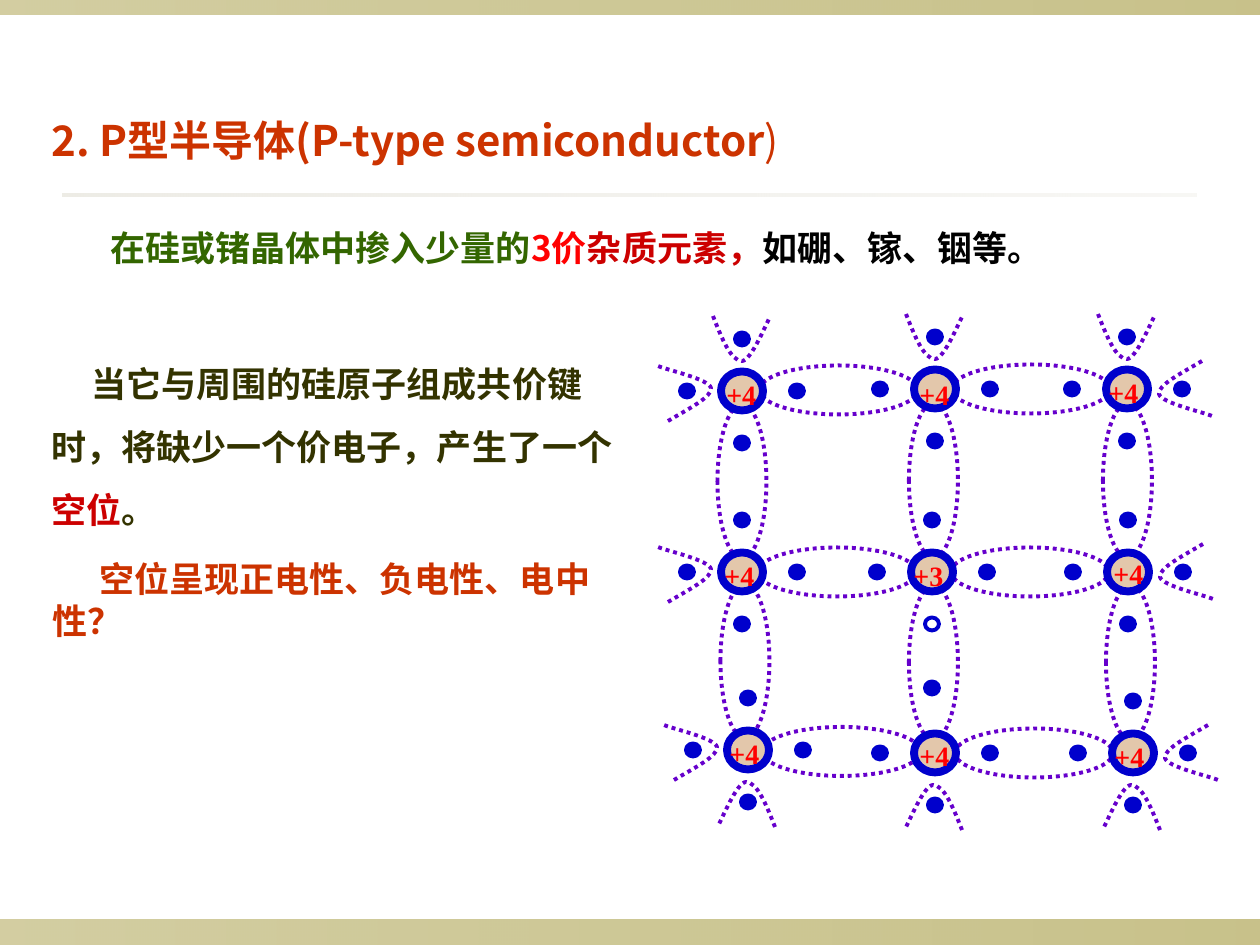
from pptx import Presentation
from pptx import util as u
from pptx.dml.color import RGBColor
from pptx.enum import dml, shapes, text
from pptx.oxml.ns import qn
from lxml import etree

SCALE = 914400 / 126
SANS, SERIF = "Noto Sans CJK SC", "Times New Roman"
HUES = {
    "band": "918415", "rule": "DCD9CC", "rust": "CC3300", "olive": "333300",
    "green": "336600", "red": "FF0000", "deep": "CC0000", "black": "000000",
    "bond": "6600CC", "blue": "0000CC", "core": "E3C7AB",
}
ATOMS = [
    [(86, 78), (279, 76), (471, 76)],
    [(86, 259), (276, 259), (472, 259)],
    [(92, 437), (279, 440), (477, 440)],
]
LABELS = [
    [(-28, -20), (-28, -18), (-31, -20)],
    [(-30, -20), (-31, -20), (-27, -22)],
    [(-31, -20), (-28, -21), (-31, -20)],
]
TOP = [(-29, -75), (-20, -52), (-11, -30), (0, -30), (9, -30), (24, -67), (28, -74)]
LEFT = [(-74, 30), (-52, 17), (-30, 6), (-31, -3), (-33, -12), (-75, -21), (-84, -25)]


def px(n):
    return u.Emu(round(n * SCALE))


def hue(name):
    return RGBColor.from_string(HUES[name])


def write(slide, box, runs, size=20, font=SANS, indent=0, lead=None):
    frame = slide.shapes.add_textbox(*map(px, box)).text_frame
    frame.word_wrap = True
    frame.vertical_anchor = text.MSO_ANCHOR.TOP
    para = frame.paragraphs[0]
    props = para._p.get_or_add_pPr()
    props.set("hangingPunct", "0")
    props.set("indent", str(px(indent)))
    if lead:
        para.line_spacing = lead
    for words, color, bold in runs:
        run = para.add_run()
        run.text = words
        face = run.font
        face.size, face.bold, face.name = u.Pt(size), bold, font
        face.color.rgb = hue(color)
        etree.SubElement(face._element, qn("a:ea")).set("typeface", font)


def strip(slide, box, color, *clear):
    bar = slide.shapes.add_shape(shapes.MSO_SHAPE.RECTANGLE, *map(px, box))
    bar.shadow.inherit = False
    bar.line.fill.background()
    bar.fill.gradient()
    bar.fill.gradient_angle = 0
    for stop in bar.fill.gradient_stops:
        stop.color.rgb = hue(color)
    for node, share in zip(bar._element.spPr.iter(qn("a:srgbClr")), clear):
        etree.SubElement(node, qn("a:alpha")).set("val", str(share * 1000))


def style(shape, line, width, fill=None, dots=False):
    shape.shadow.inherit = False
    shape.line.color.rgb = hue(line)
    shape.line.width = u.Pt(width)
    if dots:
        shape.line.dash_style = dml.MSO_LINE.ROUND_DOT
    if fill:
        shape.fill.solid()
        shape.fill.fore_color.rgb = hue(fill)
    else:
        shape.fill.background()


def oval(slide, mid, size, line, width, **look):
    (x, y), (w, h) = mid, size
    box = x - w / 2, y - h / 2, w, h
    shape = slide.shapes.add_shape(shapes.MSO_SHAPE.OVAL, *map(px, box))
    style(shape, line, width, **look)


def bond(slide, one, two, size):
    mid = [(a + b) / 2 for a, b in zip(one, two)]
    oval(slide, mid, size, "bond", 2.25, dots=True)


def arc(slide, mid, curve, sign=1, nudge=(0, 0)):
    knots = [(mid[0] + nudge[0] + sign * x, mid[1] + nudge[1] + sign * y)
             for x, y in curve]
    pen = slide.shapes.build_freeform(*knots[0], scale=SCALE)
    pen.add_line_segments(knots[1:], close=False)
    shape = pen.convert_to_shape()
    route = next(shape._element.iter(qn("a:moveTo"))).getparent()
    legs = route.findall(qn("a:lnTo"))
    for start in (0, 3):
        bend = etree.SubElement(route, qn("a:cubicBezTo"))
        for leg in legs[start:start + 3]:
            bend.append(leg[0])
            route.remove(leg)
    style(shape, "bond", 2.25, dots=True)


def atom(slide, mid, tag, shift, north=(0, -52), hole=False):
    x, y = mid
    oval(slide, mid, (42, 39), "blue", 4.5, fill="core")
    for dx, dy in (north, (-55, 0), (55, 0), (0, 52)):
        fill = None if hole and dy > 0 else "blue"
        oval(slide, (x + dx, y + dy), (14, 13), "blue", 2.25, fill=fill)
    write(slide, (x + shift[0], y + shift[1], 68, 47), [(tag, "red", True)],
          size=16, font=SERIF)


def crystal(slide, left, top):
    grid = [[(left + x, top + y) for x, y in row] for row in ATOMS]
    cols = list(zip(*grid))
    for lines, size, curve, nudge in ((grid, (158, 49), LEFT, (1, 2)),
                                      (cols, (49, 154), TOP, (-2, 2))):
        for line in lines:
            for one, two in zip(line, line[1:]):
                bond(slide, one, two, size)
            arc(slide, line[0], curve)
            arc(slide, line[-1], curve, -1, nudge)
    for r, row in enumerate(grid):
        for c, mid in enumerate(row):
            core = (r, c) == (1, 1)
            north = (-3, -65) if (r, c) == (2, 1) else (0, -52)
            atom(slide, mid, "+3" if core else "+4", LABELS[r][c], north, core)


def frame(slide, wide, high):
    strip(slide, (0, high - 25, wide, 25), "band", 40, 50)
    strip(slide, (0, 0, wide, 15), "band", 40, 50)
    strip(slide, (63, 194, wide - 126, 3), "rule", 50, 20)


def prose(slide, left, top):
    write(slide, (left, top, 916, 63),
          [("2. P型半导体(P-type semiconductor", "rust", True), (")", "rust", False)],
          size=24)
    write(slide, (left + 59, top + 112, 994, 55),
          [("在硅或锗晶体中掺入少量的", "green", True), ("3价", "red", True),
           ("杂质元素，", "deep", True), ("如硼、镓、铟等。", "black", True)])
    write(slide, (left, top + 227, 601, 139),
          [("当它与周围的硅原子组成共价键时，将缺少一个价电子，产生了一个", "olive", True),
           ("空位", "deep", True), ("。", "olive", True)], indent=40, lead=1.5)
    write(slide, (left + 1, top + 443, 581, 97),
          [("空位呈现正电性、负电性、电中性？", "rust", True)], indent=47)


def main():
    deck = Presentation()
    deck.slide_width, deck.slide_height = px(1260), px(945)
    slide = deck.slides.add_slide(deck.slide_layouts[6])
    frame(slide, 1260, 945)
    prose(slide, 39, 108)
    crystal(slide, 656, 313)
    deck.save("out.pptx")


if __name__ == "__main__":
    main()
